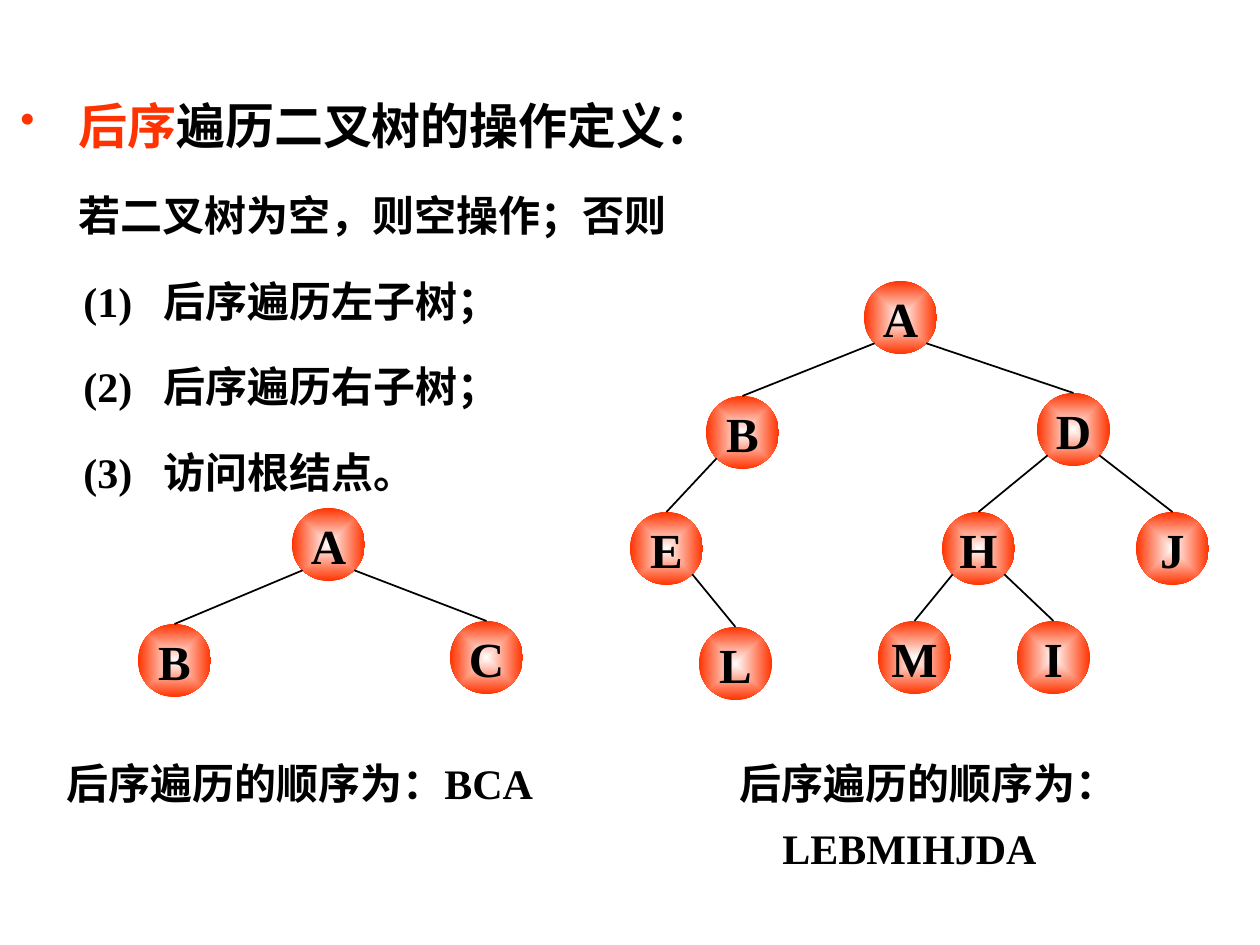
from math import sqrt

from pptx import Presentation
from pptx.dml.color import RGBColor
from pptx.enum.shapes import MSO_CONNECTOR, MSO_SHAPE
from pptx.enum.text import MSO_ANCHOR, PP_ALIGN
from pptx.oxml import parse_xml
from pptx.oxml.ns import nsdecls
from pptx.util import Emu, Pt

OVAL, STRAIGHT = MSO_SHAPE.OVAL, MSO_CONNECTOR.STRAIGHT
MIDDLE, CENTER = MSO_ANCHOR.MIDDLE, PP_ALIGN.CENTER

COLORS = {"text": "000000", "accent": "FF3300", "node_center": "FFFFFF"}
FONT = "Times New Roman"

# Each paragraph: left margin and first-line indent in px, runs of (text, size, color)
DEFINITION = [
    (58, -58, [("后序", 28, "accent"), ("遍历二叉树的操作定义：", 28, "text")]),
    (58, 0, [("若二叉树为空，则空操作；否则", 24, "text")]),
    (143, -80, [("(1)\t后序遍历左子树；", 24, "text")]),
    (143, -80, [("(2)\t后序遍历右子树；", 24, "text")]),
    (143, -80, [("(3)\t访问根结点。", 24, "text")]),
]
DEFINITION_BOX = (8, 48, 776, 456)

CAPTIONS = [
    ("后序遍历的顺序为：BCA", (54, 751, 535, 63)),
    ("后序遍历的顺序为：", (727, 751, 451, 63)),
    ("LEBMIHJDA", (770, 816, 290, 63)),
]

# Each tree: node label -> left, top, children on the (left, right)
TREES = [
    {"A": (292, 508, ("B", "C")), "B": (138, 624, ()), "C": (450, 621, ())},
    {
        "A": (864, 281, ("B", "D")),
        "B": (706, 396, ("E", None)),
        "D": (1037, 393, ("H", "J")),
        "E": (630, 512, (None, "L")),
        "H": (942, 512, ("M", "I")),
        "J": (1136, 512, ()),
        "L": (699, 627, ()),
        "M": (878, 621, ()),
        "I": (1017, 621, ()),
    },
]
NODE = 73


def px(value):
    return Emu(round(value * 914400 / 126))


def add_run(paragraph, text, size, color):
    run = paragraph.add_run()
    run.text = text
    style = {"name": FONT, "size": Pt(size), "bold": True}
    for key, value in style.items():
        setattr(run.font, key, value)
    run.font.color.rgb = RGBColor.from_string(COLORS[color])


def add_text_box(slide, box):
    frame = slide.shapes.add_textbox(*map(px, box)).text_frame
    frame.word_wrap = True
    return frame


def add_bullet(paragraph):
    properties = paragraph._p.get_or_add_pPr()
    for xml in (
        f'<a:buClr {nsdecls("a")}><a:srgbClr val="{COLORS["accent"]}"/></a:buClr>',
        f'<a:buSzPct {nsdecls("a")} val="86000"/>',
        f'<a:buChar {nsdecls("a")} char="•"/>',
    ):
        properties.append(parse_xml(xml))


def add_definition(slide):
    frame = add_text_box(slide, DEFINITION_BOX)
    for index, (margin, indent, runs) in enumerate(DEFINITION):
        paragraph = frame.add_paragraph() if index else frame.paragraphs[0]
        paragraph.line_spacing = 1.7
        properties = paragraph._p.get_or_add_pPr()
        properties.set("marL", str(px(margin)))
        properties.set("indent", str(px(indent)))
        if index == 0:
            add_bullet(paragraph)
        for run in runs:
            add_run(paragraph, *run)


def fill_radiant(shape):
    """Fill from a light centre to the accent colour at the edges."""
    shape.fill.background()
    properties = shape._element.spPr
    gradient = parse_xml(
        f'<a:gradFill {nsdecls("a")} rotWithShape="1"><a:gsLst>'
        f'<a:gs pos="0"><a:srgbClr val="{COLORS["node_center"]}"/></a:gs>'
        f'<a:gs pos="100000"><a:srgbClr val="{COLORS["accent"]}"/></a:gs>'
        '</a:gsLst><a:path path="rect">'
        '<a:fillToRect l="50000" t="50000" r="50000" b="50000"/>'
        "</a:path></a:gradFill>"
    )
    properties.replace(properties.find("{*}noFill"), gradient)


def add_node(slide, label, left, top):
    node = slide.shapes.add_shape(OVAL, px(left), px(top), px(NODE), px(NODE))
    node.shadow.inherit = False
    fill_radiant(node)
    node.line.fill.background()
    frame = node.text_frame
    layout = {"margin_left": 0, "margin_right": 0, "margin_top": 0,
              "margin_bottom": 0, "word_wrap": False, "vertical_anchor": MIDDLE}
    for key, value in layout.items():
        setattr(frame, key, value)
    frame.paragraphs[0].alignment = CENTER
    add_run(frame.paragraphs[0], label, 28, "text")
    return node


def add_edge(slide, left, top, side, child):
    """Run from the parent's lower left (side -1) or right (1) to the child's top."""
    radius = NODE / 2
    reach = radius / sqrt(2)
    x, y = px(left + radius + side * reach), px(top + radius + reach)
    edge = slide.shapes.add_connector(STRAIGHT, x, y, x, y)
    edge.end_connect(child, 0)
    edge.line.color.rgb = RGBColor.from_string(COLORS["text"])
    edge.line.width = Pt(1)
    edge._element.spPr.append(parse_xml(f'<a:effectLst {nsdecls("a")}/>'))


def add_tree(slide, tree):
    nodes = {label: add_node(slide, label, left, top)
             for label, (left, top, _) in tree.items()}
    for left, top, children in tree.values():
        for side, child in zip((-1, 1), children):
            if child:
                add_edge(slide, left, top, side, nodes[child])


def main():
    prs = Presentation()
    prs.slide_width, prs.slide_height = px(1260), px(945)
    slide = prs.slides.add_slide(prs.slide_layouts[6])
    add_definition(slide)
    for text, box in CAPTIONS:
        add_run(add_text_box(slide, box).paragraphs[0], text, 24, "text")
    for tree in TREES:
        add_tree(slide, tree)
    prs.save("out.pptx")


if __name__ == "__main__":
    main()
